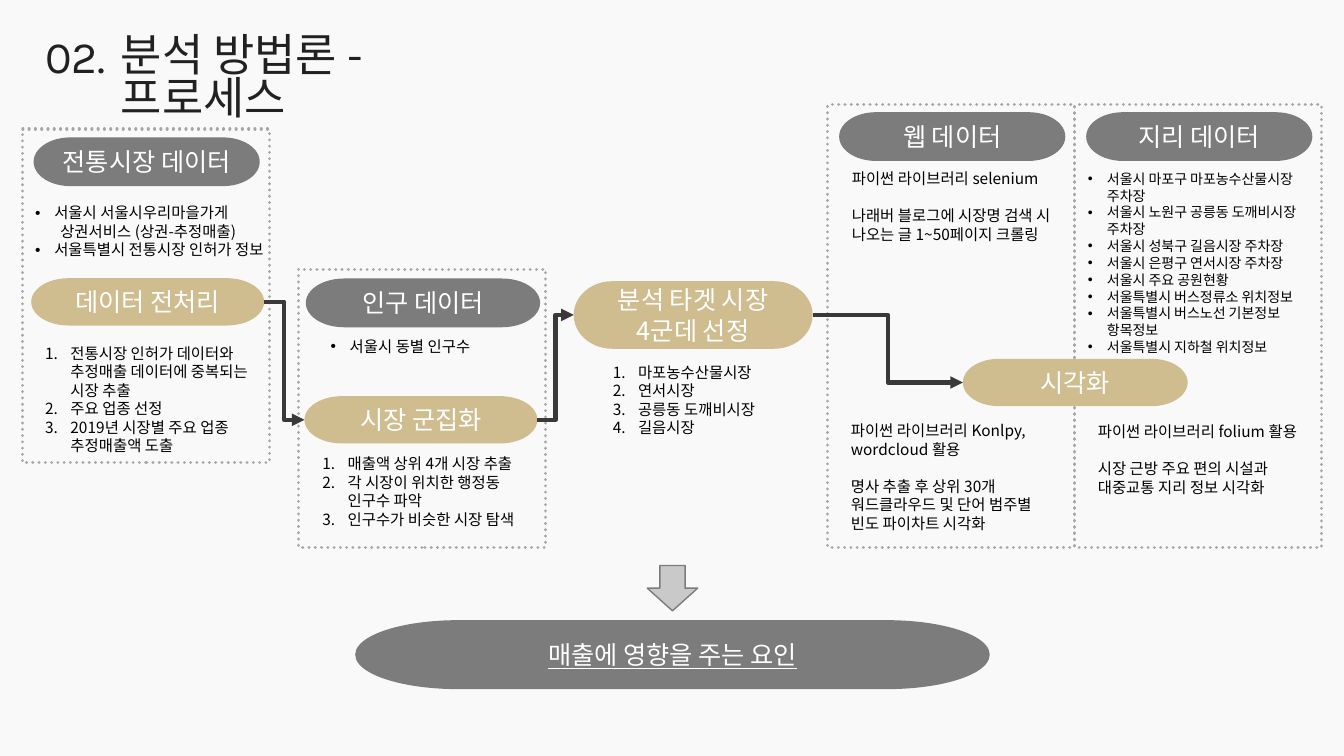
from dataclasses import dataclass
from lxml import etree
from pptx import Presentation
from pptx.dml.color import RGBColor
from pptx.enum.dml import MSO_LINE
from pptx.enum.shapes import MSO_CONNECTOR, MSO_SHAPE
from pptx.enum.text import MSO_ANCHOR, MSO_AUTO_SIZE, PP_ALIGN
from pptx.oxml.ns import qn
from pptx.util import Inches, Pt

COLUMNS, ROWS = 1333, 750
SLIDE_WIDTH, SLIDE_HEIGHT = Inches(13.33), Inches(7.5)
KOREAN, LATIN = "Noto Sans CJK KR", "Karla"
GREY, SAND, DOTS, DARK = "7C7C7C", "CFBC8F", "A6A6A6", "3B3838"
BLACK, WHITE, TITLE, PAPER, SILVER = "000000", "FFFFFF", "212121", "F9F9F9", "C9C9C9"
LEFT, CENTER, JUSTIFY = PP_ALIGN.LEFT, PP_ALIGN.CENTER, PP_ALIGN.JUSTIFY
MIDDLE, GROW = MSO_ANCHOR.MIDDLE, MSO_AUTO_SIZE.SHAPE_TO_FIT_TEXT
RECTANGLE, PILL, DOWN_ARROW = MSO_SHAPE.RECTANGLE, MSO_SHAPE.FLOWCHART_TERMINATOR, MSO_SHAPE.DOWN_ARROW
ELBOW, ROUND_DOT = MSO_CONNECTOR.ELBOW, MSO_LINE.ROUND_DOT
LEFT_SIDE, RIGHT_SIDE = 1, 3
BULLET, NUMBER, PLAIN = "bullet", "number", "plain"
HANGING = {BULLET: 0.19, NUMBER: 0.25}


@dataclass(frozen=True)
class Area:
    column: int
    row: int
    columns: int
    rows: int

    def box(self) -> tuple[int, int, int, int]:
        return (
            SLIDE_WIDTH * self.column // COLUMNS,
            SLIDE_HEIGHT * self.row // ROWS,
            SLIDE_WIDTH * self.columns // COLUMNS,
            SLIDE_HEIGHT * self.rows // ROWS,
        )


@dataclass(frozen=True)
class Label:
    lines: tuple[str, ...]
    area: Area
    fill: str
    underline: bool = False


@dataclass(frozen=True)
class Note:
    area: Area
    lines: tuple[str, ...]
    marker: str = PLAIN
    size: float = 11
    alignment: PP_ALIGN = LEFT
    gap: float = 0
    unmarked: tuple[int, ...] = ()


FRAMES = (
    Area(821, 104, 245, 439),
    Area(1066, 104, 245, 439),
    Area(296, 267, 245, 276),
    Area(22, 128, 245, 331),
)
MARKET, CLEANING, CLUSTERING, TARGET, VISUAL = (
    Label(("전통시장 데이터",), Area(34, 137, 223, 47), GREY),
    Label(("데이터 전처리",), Area(31, 276, 231, 47), SAND),
    Label(("시장 군집화",), Area(302, 393, 231, 47), SAND),
    Label(("분석 타겟 시장", "4군데 선정"), Area(569, 279, 237, 67), SAND),
    Label(("시각화",), Area(955, 356, 223, 47), SAND),
)
LABELS = (
    MARKET, CLEANING, CLUSTERING, TARGET, VISUAL,
    Label(("인구 데이터",), Area(304, 277, 231, 47), GREY),
    Label(("웹 데이터",), Area(833, 112, 223, 47), GREY),
    Label(("지리 데이터",), Area(1078, 112, 223, 47), GREY),
    Label(("매출에 영향을 주는 요인",), Area(353, 616, 628, 67), GREY, True),
)
LINKS = ((CLEANING, CLUSTERING), (CLUSTERING, TARGET), (TARGET, VISUAL))
NOTES = (
    Note(Area(25, 197, 260, 66), (
        "서울시 서울시우리마을가게",
        "상권서비스 (상권-추정매출)",
        "서울특별시 전통시장 인허가 정보",
    ), BULLET, unmarked=(1,)),
    Note(Area(35, 336, 231, 121), (
        "전통시장 인허가 데이터와 추정매출 데이터에 중복되는 시장 추출",
        "주요 업종 선정",
        "2019년 시장별 주요 업종 추정매출액 도출",
    ), NUMBER),
    Note(Area(318, 329, 206, 29), ("서울시 동별 인구수",), BULLET),
    Note(Area(310, 446, 223, 84), (
        "매출액 상위 4개 시장 추출",
        "각 시장이 위치한 행정동 인구수 파악",
        "인구수가 비슷한 시장 탐색",
    ), NUMBER),
    Note(Area(598, 355, 170, 84), (
        "마포농수산물시장", "연서시장", "공릉동 도깨비시장", "길음시장",
    ), NUMBER, alignment=JUSTIFY),
    Note(Area(1069, 164, 251, 195), (
        "서울시 마포구 마포농수산물시장 주차장",
        "서울시 노원구 공릉동 도깨비시장 주차장",
        "서울시 성북구 길음시장 주차장",
        "서울시 은평구 연서시장 주차장",
        "서울시 주요 공원현황",
        "서울특별시 버스정류소 위치정보",
        "서울특별시 버스노선 기본정보 항목정보",
        "서울특별시 지하철 위치정보",
    ), BULLET, size=10),
    Note(Area(835, 163, 231, 84), (
        "파이썬 라이브러리 selenium",
        "나래버 블로그에 시장명 검색 시 나오는 글 1~50페이지 크롤링",
    ), gap=13.2),
    Note(Area(834, 413, 225, 121), (
        "파이썬 라이브러리 Konlpy, wordcloud 활용",
        "명사 추출 후 상위 30개 워드클라우드 및 단어 범주별 빈도 파이차트 시각화",
    ), gap=13.2),
    Note(Area(1079, 414, 218, 84), (
        "파이썬 라이브러리 folium 활용",
        "시장 근방 주요 편의 시설과 대중교통 지리 정보 시각화",
    ), gap=13.2),
)


def color(value: str) -> RGBColor:
    return RGBColor.from_string(value)


def add_run(paragraph, text: str, size: float, ink: str, font: str = KOREAN, underline: bool = False) -> None:
    run = paragraph.add_run()
    run.text = text
    run.font.size, run.font.name = Pt(size), font
    run.font.color.rgb = color(ink)
    if underline:
        run.font.underline = True
    etree.SubElement(run.font._element, qn("a:ea"), typeface=font)


def set_indent(paragraph, marker: str, marked: bool) -> None:
    properties = paragraph._p.get_or_add_pPr()
    margin = Inches(HANGING[marker] if marked else 0.25)
    properties.set("marL", str(margin))
    properties.set("indent", str(-margin if marked else 0))
    if not marked:
        return
    if marker == BULLET:
        etree.SubElement(properties, qn("a:buFont"), typeface="Arial")
        etree.SubElement(properties, qn("a:buChar"), char="•")
    else:
        etree.SubElement(properties, qn("a:buFont"), typeface="+mj-lt")
        etree.SubElement(properties, qn("a:buAutoNum"), type="arabicPeriod")


def add_paragraph(frame, index: int):
    return frame.paragraphs[0] if index == 0 else frame.add_paragraph()


def add_block(slide, kind, area: Area, fill: str = "", line: str = "", weight: float = 1):
    shape = slide.shapes.add_shape(kind, *area.box())
    shape.shadow.inherit = False
    if fill:
        shape.fill.solid()
        shape.fill.fore_color.rgb = color(fill)
    else:
        shape.fill.background()
    if line:
        shape.line.color.rgb = color(line)
        shape.line.width = Pt(weight)
    else:
        shape.line.fill.background()
    return shape


def add_frame(slide, area: Area) -> None:
    shape = add_block(slide, RECTANGLE, area, line=DOTS, weight=2.25)
    shape.line.dash_style = ROUND_DOT
    shape.line._get_or_add_ln().set("cap", "rnd")


def add_label(slide, label: Label):
    shape = add_block(slide, PILL, label.area, label.fill, GREY if label.fill == GREY else "")
    frame = shape.text_frame
    frame.word_wrap, frame.vertical_anchor = True, MIDDLE
    for index, line in enumerate(label.lines):
        paragraph = add_paragraph(frame, index)
        paragraph.alignment = CENTER
        add_run(paragraph, line, 18, WHITE, underline=label.underline)
    return shape


def add_text_frame(slide, area: Area, wrap: bool = True):
    frame = slide.shapes.add_textbox(*area.box()).text_frame
    frame.word_wrap, frame.auto_size = wrap, GROW
    return frame


def add_note(slide, note: Note) -> None:
    frame = add_text_frame(slide, note.area)
    for index, line in enumerate(note.lines):
        paragraph = add_paragraph(frame, index)
        paragraph.alignment = note.alignment
        if index and note.gap:
            paragraph.space_before = Pt(note.gap)
        if note.marker != PLAIN:
            set_indent(paragraph, note.marker, index not in note.unmarked)
        add_run(paragraph, line, note.size, BLACK)


def add_link(slide, start, end) -> None:
    connector = slide.shapes.add_connector(ELBOW, 0, 0, 0, 0)
    connector.begin_connect(start, RIGHT_SIDE)
    connector.end_connect(end, LEFT_SIDE)
    connector.line.color.rgb = color(DARK)
    connector.line.width = Pt(3)
    etree.SubElement(connector.line._get_or_add_ln(), qn("a:tailEnd"), type="triangle")
    etree.SubElement(connector._element.spPr, qn("a:effectLst"))


def add_title(slide) -> None:
    number = add_text_frame(slide, Area(31, 24, 88, 64), False).paragraphs[0]
    number.alignment = CENTER
    add_run(number, "02.", 32, TITLE, LATIN)
    heading = add_text_frame(slide, Area(110, 32, 437, 55)).paragraphs[0]
    heading.line_spacing = 0.8
    add_run(heading, "분석 방법론 -", 32, TITLE)
    heading.add_line_break()
    add_run(heading, "프로세스", 32, TITLE)


def main() -> None:
    presentation = Presentation()
    presentation.slide_width, presentation.slide_height = SLIDE_WIDTH, SLIDE_HEIGHT
    slide = presentation.slides.add_slide(presentation.slide_layouts[6])
    slide.background.fill.solid()
    slide.background.fill.fore_color.rgb = color(PAPER)
    for area in FRAMES:
        add_frame(slide, area)
    add_title(slide)
    pills = {label: add_label(slide, label) for label in LABELS}
    for start, end in LINKS:
        add_link(slide, pills[start], pills[end])
    add_block(slide, DOWN_ARROW, Area(642, 561, 50, 45), SILVER, GREY)
    for note in NOTES:
        add_note(slide, note)
    presentation.save("out.pptx")


if __name__ == "__main__":
    main()
